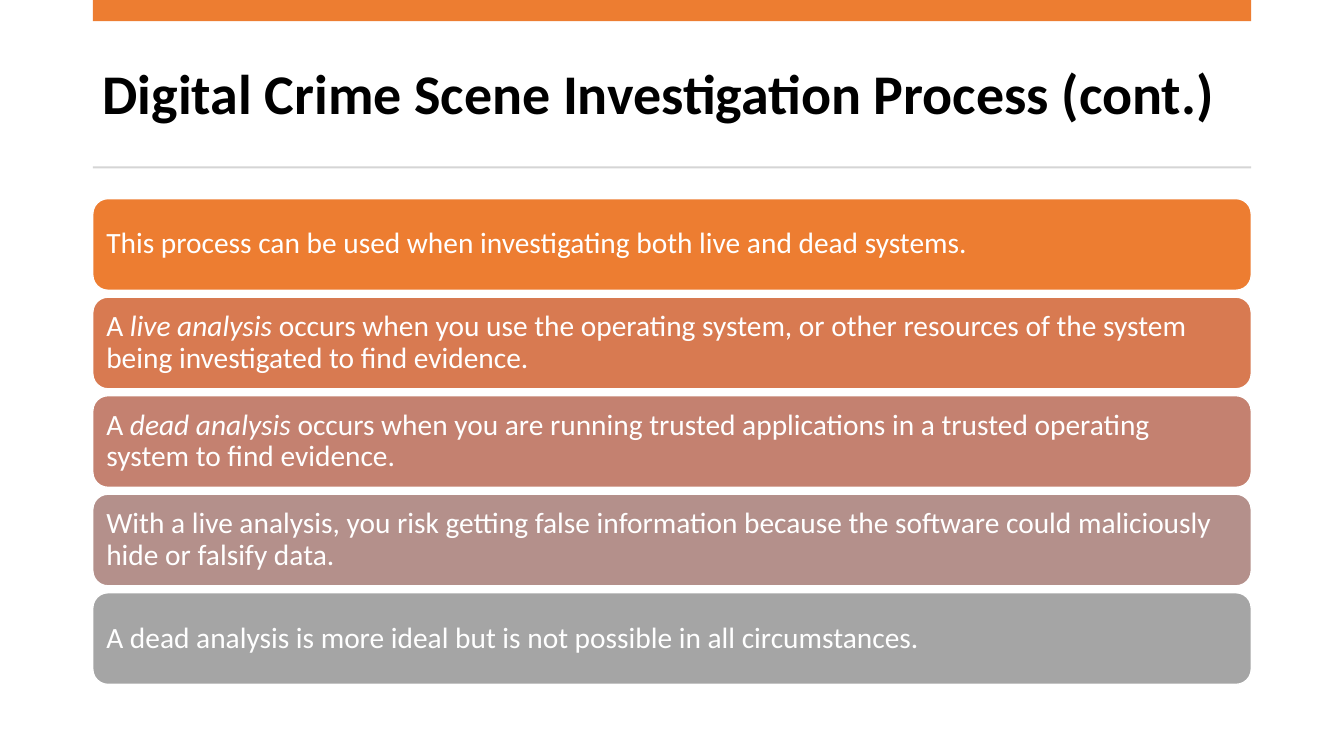
from dataclasses import dataclass

from pptx import Presentation
from pptx.dml.color import RGBColor
from pptx.enum.shapes import MSO_SHAPE
from pptx.enum.text import MSO_ANCHOR, PP_ALIGN
from pptx.util import Inches, Pt

RECTANGLE = MSO_SHAPE.RECTANGLE
ROUNDED_RECTANGLE = MSO_SHAPE.ROUNDED_RECTANGLE
MIDDLE = MSO_ANCHOR.MIDDLE
LEFT = PP_ALIGN.LEFT

MARGIN, CONTENT_WIDTH = 0.92, 11.49
FIRST_CARD_TOP, LAST_CARD_TOP, CARD_HEIGHT = 1.97, 5.88, 0.91

TITLE = "Digital Crime Scene Investigation Process (cont.)"
CARDS = [
    [("This process can be used when investigating both live and dead systems.", False)],
    [("A ", False), ("live analysis ", True),
     ("occurs when you use the operating system, or other resources of the system "
      "being investigated to find evidence.", False)],
    [("A ", False), ("dead analysis ", True),
     ("occurs when you are running trusted applications in a trusted operating "
      "system to find evidence.", False)],
    [("With a live analysis, you risk getting false information because the software "
      "could maliciously hide or falsify data.", False)],
    [("A dead analysis is more ideal but is not possible in all circumstances.", False)],
]


@dataclass(frozen=True)
class Theme:
    font: str = "Calibri"
    title_size: int = 40
    card_size: int = 21
    title_color: str = "000000"
    card_text: str = "FFFFFF"
    card_line: str = "FFFFFF"
    accent: str = "ED7D31"
    rule: str = "D5D5D5"
    card_fills: tuple = ("ED7D31", "D87A51", "C48170", "B4908B", "A5A5A5")


class SlideBuilder:
    """Draws styled elements on one slide."""

    def __init__(self, slide, theme):
        self.slide = slide
        self.theme = theme

    def add_text(self, text_frame, runs, size, color, bold=False):
        text_frame.word_wrap = True
        text_frame.vertical_anchor = MIDDLE
        paragraph = text_frame.paragraphs[0]
        paragraph.alignment = LEFT
        paragraph.line_spacing = 0.9
        for text, italic in runs:
            run = paragraph.add_run()
            run.text = text
            run.font.name = self.theme.font
            run.font.size = Pt(size)
            run.font.bold = bold
            run.font.italic = italic
            run.font.color.rgb = RGBColor.from_string(color)

    def title(self, text, top, height):
        box = self.slide.shapes.add_textbox(
            Inches(MARGIN), Inches(top), Inches(CONTENT_WIDTH), Inches(height))
        self.add_text(box.text_frame, [(text, False)], self.theme.title_size,
                      self.theme.title_color, bold=True)

    def bar(self, top, height, color, preset=RECTANGLE):
        shape = self.slide.shapes.add_shape(
            preset, Inches(MARGIN), Inches(top), Inches(CONTENT_WIDTH), Inches(height))
        shape.shadow.inherit = False
        shape.fill.solid()
        shape.fill.fore_color.rgb = RGBColor.from_string(color)
        shape.line.fill.background()
        return shape

    def card(self, top, runs, color):
        shape = self.bar(top, CARD_HEIGHT, color, ROUNDED_RECTANGLE)
        shape.line.color.rgb = RGBColor.from_string(self.theme.card_line)
        shape.line.width = Pt(1)
        frame = shape.text_frame
        frame.margin_left = frame.margin_right = Inches(0.09)
        frame.margin_top = frame.margin_bottom = Inches(0.05)
        self.add_text(frame, runs, self.theme.card_size, self.theme.card_text)


def main():
    presentation = Presentation()
    presentation.slide_width = Inches(13.33)
    presentation.slide_height = Inches(7.5)
    theme = Theme()
    builder = SlideBuilder(
        presentation.slides.add_slide(presentation.slide_layouts[6]), theme)

    builder.title(TITLE, 0.37, 1.18)
    builder.bar(0, 0.21, theme.accent)
    builder.bar(1.65, 0.02, theme.rule)
    pitch = (LAST_CARD_TOP - FIRST_CARD_TOP) / (len(CARDS) - 1)
    for index, (runs, color) in enumerate(zip(CARDS, theme.card_fills)):
        builder.card(FIRST_CARD_TOP + index * pitch, runs, color)

    presentation.save("out.pptx")


if __name__ == "__main__":
    main()
